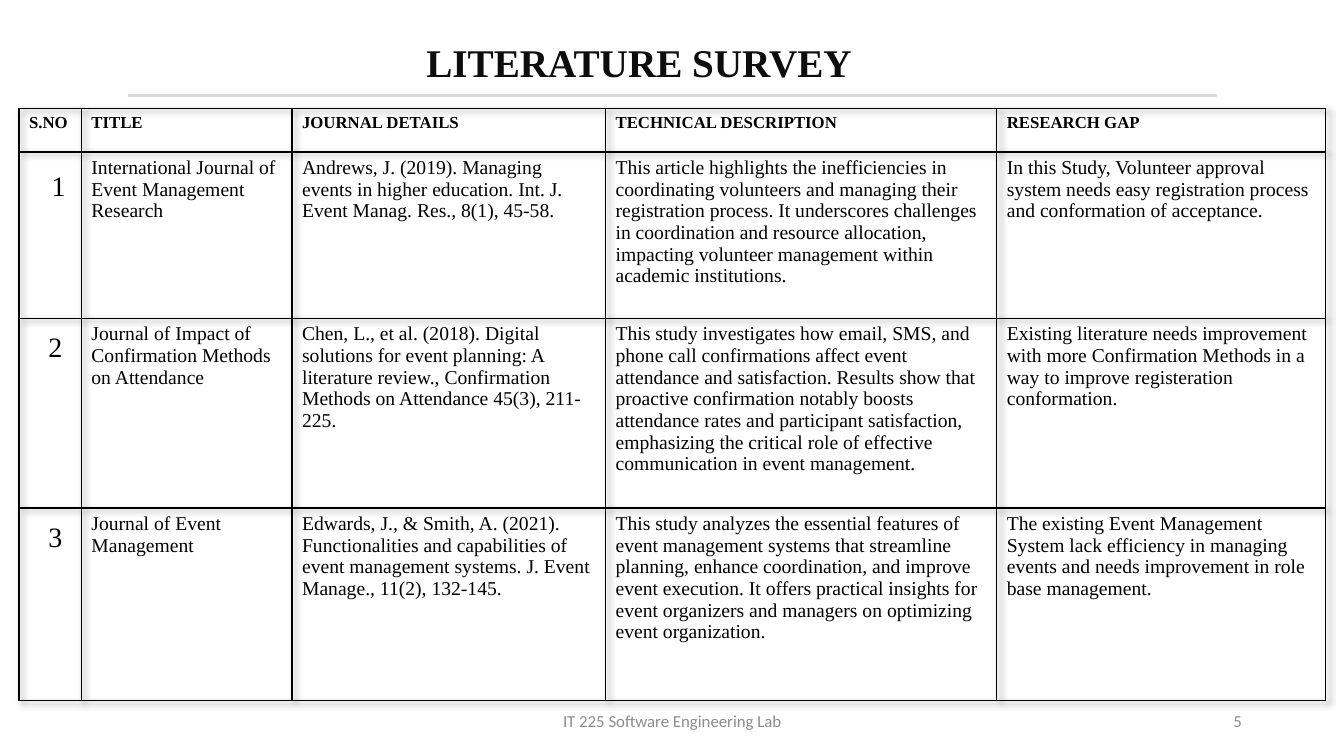
from lxml.etree import SubElement
from pptx import Presentation
from pptx.dml.color import RGBColor
from pptx.enum.shapes import MSO_CONNECTOR
from pptx.enum.text import MSO_ANCHOR, PP_ALIGN
from pptx.oxml import parse_xml
from pptx.oxml.ns import nsdecls, qn
from pptx.util import Cm, Pt

COLORS = {"ink": "000000", "title": "0D0D0D", "foot": "8C8C8C", "rule": "D9D9D9"}
SERIF, SANS = "Times New Roman", "Calibri"

HEADS = ["S.NO", "TITLE", "JOURNAL DETAILS", "TECHNICAL DESCRIPTION", "RESEARCH GAP"]
STUDIES = [
    ("1", "International Journal of Event Management Research",
     "Andrews, J. (2019). Managing events in higher education. "
     "Int. J. Event Manag. Res., 8(1), 45-58.",
     "This article highlights the inefficiencies in coordinating volunteers and managing "
     "their registration process. It underscores challenges in coordination and resource "
     "allocation, impacting volunteer management within academic institutions.",
     "In this Study, Volunteer approval system needs easy registration process and "
     "conformation of acceptance."),
    ("2", "Journal of Impact of Confirmation Methods on Attendance",
     "Chen, L., et al. (2018). Digital solutions for event planning: A literature review., "
     "Confirmation Methods on Attendance 45(3), 211-225.",
     "This study investigates how email, SMS, and phone call confirmations affect event "
     "attendance and satisfaction. Results show that proactive confirmation notably boosts "
     "attendance rates and participant satisfaction, emphasizing the critical role of "
     "effective communication in event management.",
     "Existing literature needs improvement with more Confirmation Methods in a way to "
     "improve registeration conformation."),
    ("3", "Journal of Event Management",
     "Edwards, J., & Smith, A. (2021). Functionalities and capabilities of event "
     "management systems. J. Event Manage., 11(2), 132-145.",
     "This study analyzes the essential features of event management systems that "
     "streamline planning, enhance coordination, and improve event execution. It offers "
     "practical insights for event organizers and managers on optimizing event organization.",
     "The existing Event Management System lack efficiency in managing events and needs "
     "improvement in role base management."),
]
WIDTHS = [1.57, 5.31, 7.9, 9.86, 8.28]
HEIGHTS = [1.09, 4.19, 4.78, 4.85]
# Left and top inset of each number
INSETS = [(0.82, 0.48), (0.74, 0.36), (0.74, 0.36)]


def write(frame, text, size, font, color, bold=False, align=PP_ALIGN.LEFT):
    para = frame.paragraphs[0]
    para.alignment = align
    run = para.add_run()
    run.text = text
    run.font.size, run.font.name, run.font.bold = Pt(size), font, bold
    run.font.color.rgb = RGBColor.from_string(COLORS[color])
    return para


def add_box(slide, left, top, width, height):
    frame = slide.shapes.add_textbox(Cm(left), Cm(top), Cm(width), Cm(height)).text_frame
    frame.word_wrap = True
    frame.vertical_anchor = MSO_ANCHOR.MIDDLE
    return frame


def add_edges(cell):
    props = cell._tc.get_or_add_tcPr()
    for spot, side in enumerate(("lnL", "lnR", "lnT", "lnB")):
        props.insert(spot, parse_xml(
            f'<a:{side} {nsdecls("a")} w="12700"><a:solidFill>'
            f'<a:srgbClr val="{COLORS["ink"]}"/></a:solidFill></a:{side}>'))


def add_survey(slide):
    rows = [HEADS] + STUDIES
    table = slide.shapes.add_table(len(rows), len(HEADS), Cm(0.48), Cm(2.74),
                                   Cm(sum(WIDTHS)), Cm(sum(HEIGHTS))).table
    table.first_row = table.horz_banding = False
    # Soft shadow along the grid
    table._tbl.tblPr.insert(0, parse_xml(
        f'<a:effectLst {nsdecls("a")}><a:outerShdw blurRad="50800" dist="38100" '
        'dir="2700000"><a:srgbClr val="000000"><a:alpha val="40000"/></a:srgbClr>'
        '</a:outerShdw></a:effectLst>'))
    for col, width in zip(table.columns, WIDTHS):
        col.width = Cm(width)
    for r, (row, height) in enumerate(zip(rows, HEIGHTS)):
        table.rows[r].height = Cm(height)
        for c, text in enumerate(row):
            cell = table.cell(r, c)
            cell.fill.background()
            add_edges(cell)
            size = 12 if r == 0 else 20 if c == 0 else 14
            write(cell.text_frame, text, size, SERIF, "ink", bold=r == 0)
            if r and c == 0:
                left, top = INSETS[r - 1]
                cell.margin_left, cell.margin_top = Cm(left), Cm(top)
                cell.margin_right = 0


def main():
    deck = Presentation()
    deck.slide_width, deck.slide_height = Cm(33.87), Cm(19.05)
    slide = deck.slides.add_slide(deck.slide_layouts[6])

    # Title, raised above the rule by its bottom inset
    frame = add_box(slide, 1.5, 0.38, 29.21, 3.68)
    frame.margin_bottom = Cm(1.32)
    para = write(frame, "LITERATURE SURVEY", 28, SERIF, "title", True, PP_ALIGN.CENTER)
    para.line_spacing = 0.9

    # Footer and page number
    write(add_box(slide, 11.23, 17.65, 11.43, 1.02), "IT 225 Software Engineering Lab",
          12, SANS, "foot", align=PP_ALIGN.CENTER)
    write(add_box(slide, 23.93, 17.65, 7.62, 1.02), "5", 12, SANS, "foot",
          align=PP_ALIGN.RIGHT)

    # Rule under the title
    rule = slide.shapes.add_connector(MSO_CONNECTOR.STRAIGHT,
                                      Cm(3.23), Cm(2.41), Cm(30.66), Cm(2.41))
    rule.line.color.rgb = RGBColor.from_string(COLORS["rule"])
    rule.line.width = Pt(2)
    SubElement(rule._element.spPr, qn("a:effectLst"))

    add_survey(slide)
    deck.save("out.pptx")


if __name__ == "__main__":
    main()
